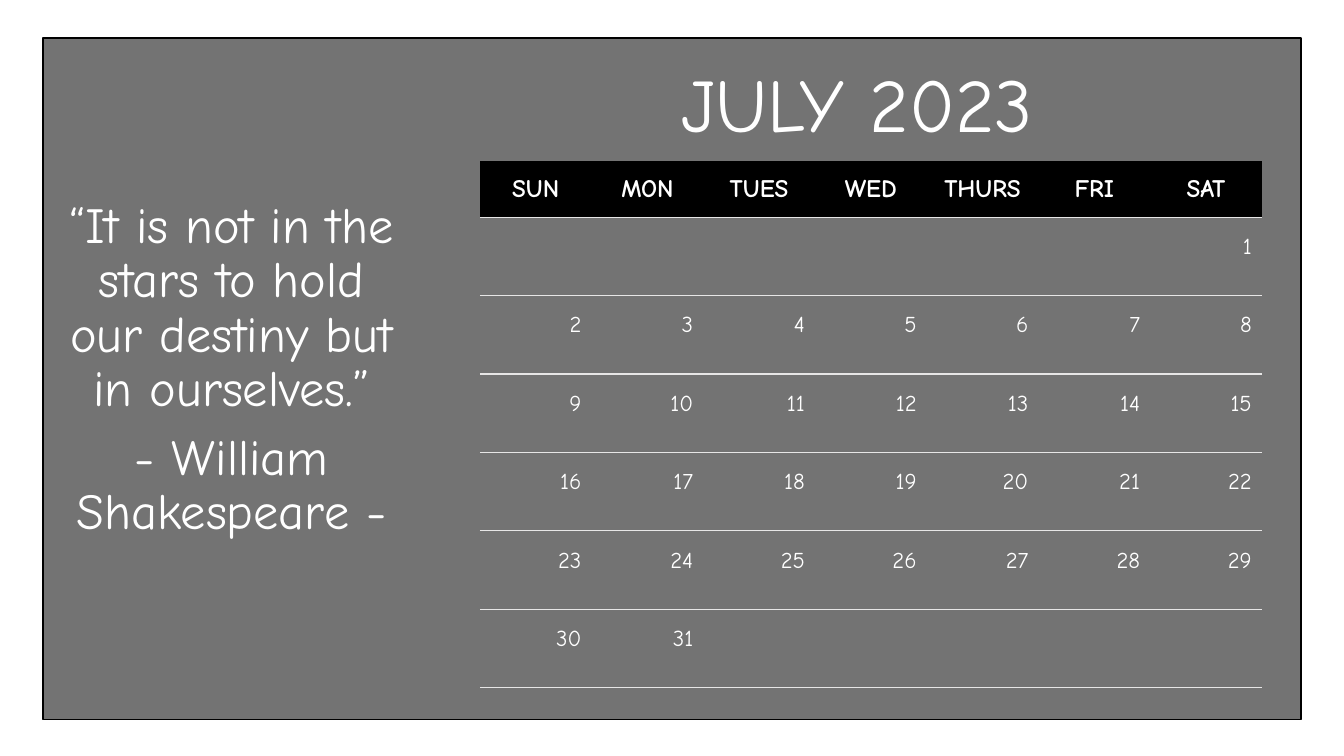
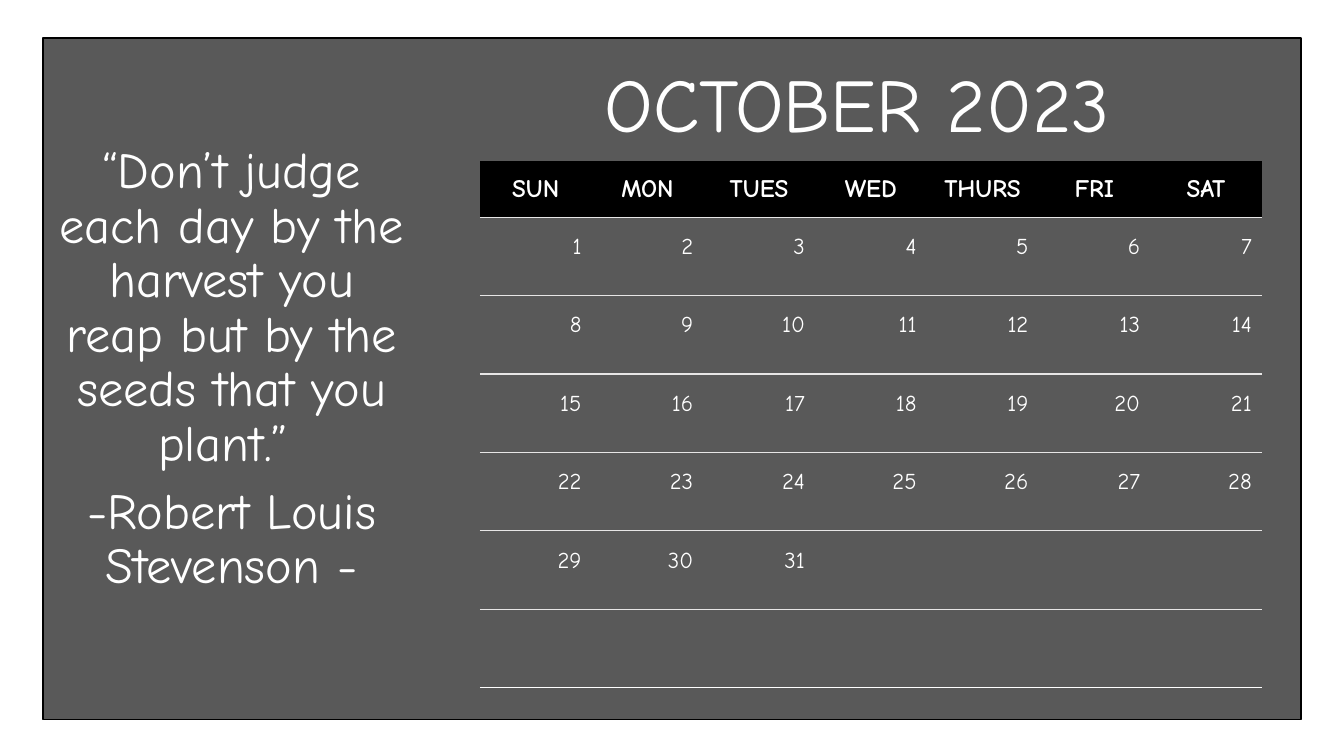
import pptx
import pptx.dml.color
import pptx.enum.shapes
import pptx.enum.text
import pptx.oxml.ns
import pptx.util
import lxml.etree

PX = 9525
FONT = "Comic Neue"
WHITE, BLACK, RULE = "FFFFFF", "000000", "E7E6E6"
WEEKDAYS = ["SUN", "MON", "TUES", "WED", "THURS", "FRI", "SAT"]
WEEKS = 6
CALENDAR_BOX = (457, 153, 745, 502)
HEADER_HEIGHT = 54
ALIGN = pptx.enum.text.PP_ALIGN
MIDDLE = pptx.enum.text.MSO_ANCHOR.MIDDLE

MONTHS = [
    {
        "title": "JULY 2023",
        "quote": ["“It is not in the stars to hold our destiny but in ourselves.”",
                  "- William Shakespeare -"],
        "opacity": 55,
        "first_weekday": 6,
        "days": 31,
        "closing_rule": (RULE, 1),
    },
    {
        "title": "OCTOBER 2023",
        "quote": ["“Don’t judge each day by the harvest you reap but by the seeds that you plant.” ",
                  "-Robert Louis Stevenson -"],
        "opacity": 65,
        "first_weekday": 0,
        "days": 31,
        "closing_rule": (WHITE, 0.75),
    },
]


def px(*lengths):
    return [pptx.util.Emu(length * PX) for length in lengths]


def color(hex_value):
    return pptx.dml.color.RGBColor.from_string(hex_value)


def sub(parent, tag, **attributes):
    return lxml.etree.SubElement(parent, pptx.oxml.ns.qn(tag), **attributes)


def add_run(paragraph, text, size, bold=False):
    run = paragraph.add_run()
    run.text = text
    run.font.name = FONT
    run.font.size = pptx.util.Pt(size)
    run.font.bold = bold
    run.font.color.rgb = color(WHITE)
    return run


def add_panel(slide, opacity):
    panel = slide.shapes.add_shape(
        pptx.enum.shapes.MSO_SHAPE.RECTANGLE, *px(41, 36, 1198, 649))
    panel.shadow.inherit = False
    panel.fill.solid()
    panel.fill.fore_color.rgb = color(BLACK)
    fill_color = panel.fill._xPr.find(".//" + pptx.oxml.ns.qn("a:srgbClr"))
    sub(fill_color, "a:alpha", val=str(opacity * 1000))
    panel.line.color.rgb = color(BLACK)
    panel.line.width = pptx.util.Pt(1)


def add_text(slide, box, texts, size):
    frame = slide.shapes.add_textbox(*px(*box)).text_frame
    frame.word_wrap = True
    frame.vertical_anchor = MIDDLE
    for index, text in enumerate(texts):
        paragraph = frame.add_paragraph() if index else frame.paragraphs[0]
        paragraph.alignment = ALIGN.CENTER
        paragraph.line_spacing = 0.9
        if index:
            paragraph.space_before = pptx.util.Pt(10)
        add_run(paragraph, text, size)


def set_borders(cell, top, bottom):
    properties = cell._tc.get_or_add_tcPr()
    sides = [("a:lnL", None), ("a:lnR", None), ("a:lnT", top), ("a:lnB", bottom)]
    for tag, rule in sides:
        if rule is None:
            sub(sub(properties, tag, w="0"), "a:noFill")
        else:
            hex_value, width = rule
            line = sub(properties, tag, w=str(pptx.util.Pt(width)))
            sub(sub(line, "a:solidFill"), "a:srgbClr", val=hex_value)


def fill_header_cell(cell, weekday):
    set_borders(cell, None, (RULE, 1))
    cell.fill.solid()
    cell.fill.fore_color.rgb = color(BLACK)
    cell.vertical_anchor = MIDDLE
    paragraph = cell.text_frame.paragraphs[0]
    paragraph.alignment = ALIGN.CENTER
    add_run(paragraph, weekday, 18, bold=True)


def fill_day_cell(cell, day, last_day, bottom):
    set_borders(cell, (RULE, 1), bottom)
    cell.fill.background()
    if 1 <= day <= last_day:
        paragraph = cell.text_frame.paragraphs[0]
        paragraph.alignment = ALIGN.RIGHT
        run = add_run(paragraph, str(day), 28)
        run.font._element.set("baseline", "8000")


def add_calendar(slide, month):
    left, top, width, height = px(*CALENDAR_BOX)
    calendar = slide.shapes.add_table(
        WEEKS + 1, len(WEEKDAYS), left, top, width, height).table
    calendar.first_row = False
    calendar.horz_banding = False
    header_height = px(HEADER_HEIGHT)[0]
    calendar.rows[0].height = header_height
    for week in range(1, WEEKS + 1):
        calendar.rows[week].height = (height - header_height) // WEEKS
    for column, weekday in enumerate(WEEKDAYS):
        calendar.columns[column].width = width // len(WEEKDAYS)
        fill_header_cell(calendar.cell(0, column), weekday)
        for week in range(WEEKS):
            day = week * len(WEEKDAYS) + column - month["first_weekday"] + 1
            bottom = month["closing_rule"] if week == WEEKS - 1 else (RULE, 1)
            fill_day_cell(calendar.cell(week + 1, column), day, month["days"], bottom)


def add_month(deck, month):
    slide = deck.slides.add_slide(deck.slide_layouts[6])
    add_panel(slide, month["opacity"])
    add_text(slide, (440, 53, 753, 100), [month["title"]], 54)
    add_text(slide, (45, 38, 351, 629), month["quote"], 36)
    add_calendar(slide, month)


def main():
    deck = pptx.Presentation()
    deck.slide_width, deck.slide_height = px(1280, 720)
    for month in MONTHS:
        add_month(deck, month)
    deck.save("out.pptx")


if __name__ == "__main__":
    main()
